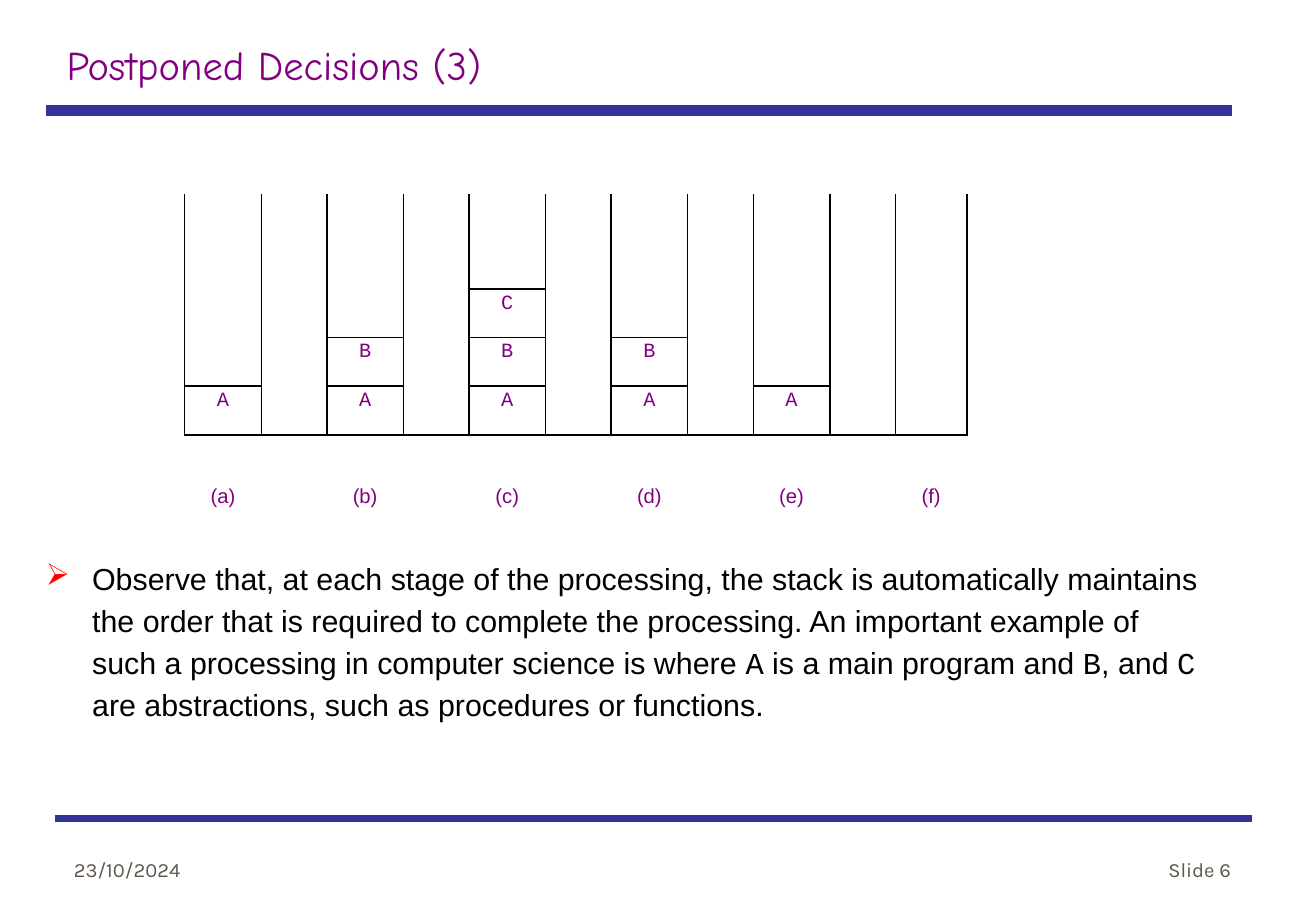
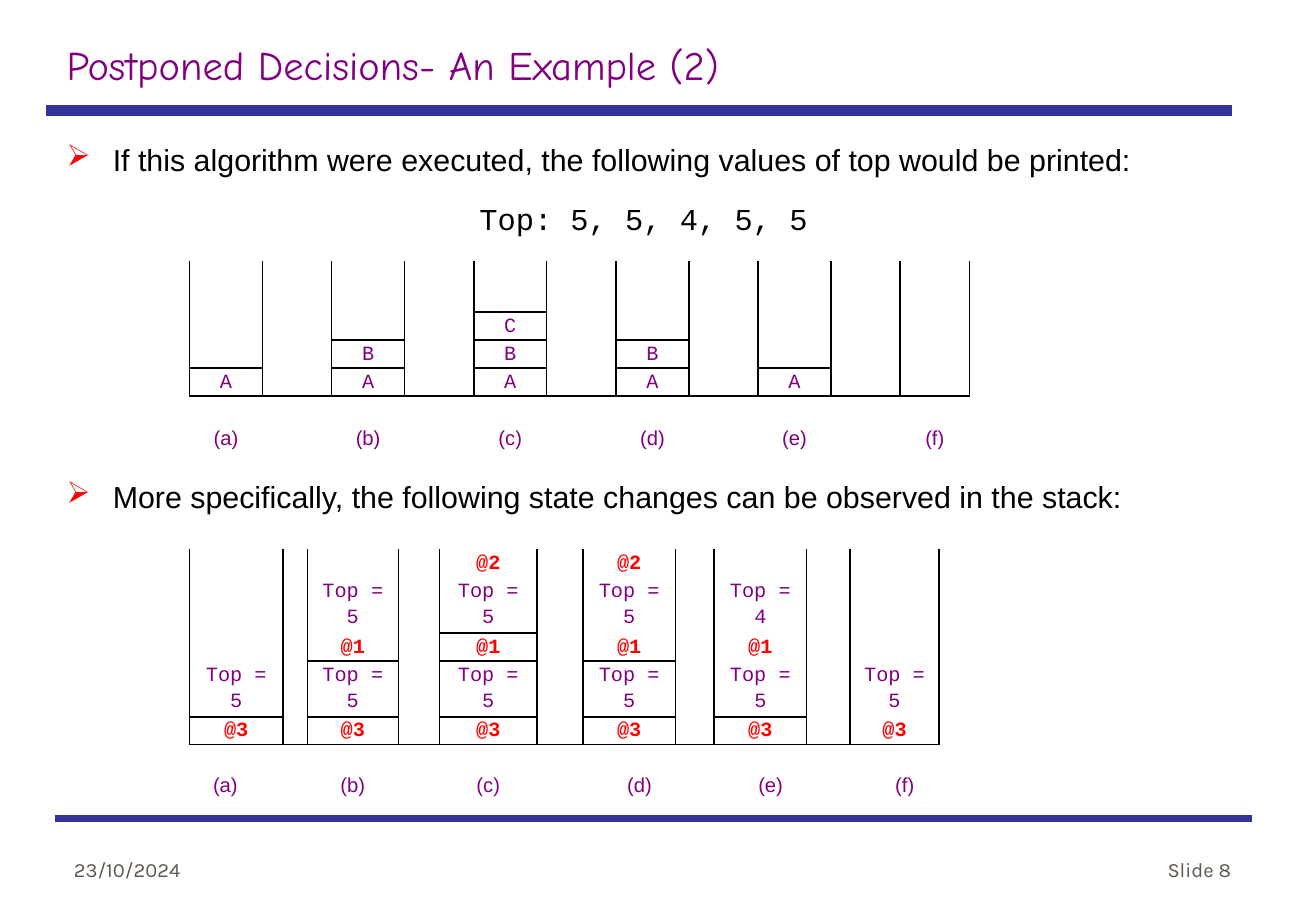
from lxml import etree
from pptx import Presentation
from pptx import util as u
from pptx.dml.color import RGBColor
from pptx.enum import shapes, text
from pptx.oxml import ns

PURPLE, BLUE, RED, BLACK, GREY = "800080", "333399", "FF0000", "000000", "5E574E"
BODY, CODE, TITLE, FOOTER = "Arial", "Courier New", "Comic Neue", "Karla"
LEFT, CENTER, RIGHT = text.PP_ALIGN.LEFT, text.PP_ALIGN.CENTER, text.PP_ALIGN.RIGHT

# Stack rows are 0 to BOTTOM; then an empty row and a row of labels
BOTTOM, GAP_ROW, LABEL_ROW = 4, 5, 6
# For each stack, the first row with a line above it
FIRST_LINED = [4, 3, 2, 3, 4, 5]


def rgb(value):
    return RGBColor.from_string(value)


def add(parent, tag, **attributes):
    return etree.SubElement(parent, ns.qn(tag), **attributes)


def add_run(paragraph, words, size, font, colour, bold=False):
    run = paragraph.add_run()
    run.text = words
    run.font.size = u.Pt(size)
    run.font.name = font
    run.font.bold = bold
    run.font.color.rgb = rgb(colour)


def add_bullet(paragraph):
    properties = paragraph._p.get_or_add_pPr()
    indent = u.Inches(0.38)
    properties.set("marL", str(indent))
    properties.set("indent", str(-indent))
    add(add(properties, "a:buClr"), "a:srgbClr", val=RED)
    add(properties, "a:buChar", char="➢")


def text_box(slide, left, top, width, height, anchor=text.MSO_ANCHOR.TOP):
    frame = slide.shapes.add_textbox(*map(u.Inches, (left, top, width, height))).text_frame
    frame.word_wrap = True
    frame.vertical_anchor = anchor
    return frame


def rule(slide, left, right, y, weight):
    line = slide.shapes.add_connector(
        shapes.MSO_CONNECTOR.STRAIGHT, *map(u.Inches, (left, y, right, y)))
    line.line.color.rgb = rgb(BLUE)
    line.line.width = u.Pt(weight)
    add(line._element.spPr, "a:effectLst")


def framed_slide(deck, title, number):
    """Blank slide with the shared title, bands and footers."""
    slide = deck.slides.add_slide(deck.slide_layouts[6])
    rule(slide, 0.38, 10.14, 0.91, 6)
    rule(slide, 0.45, 10.3, 6.74, 4.5)
    heading = text_box(slide, 0.45, 0.28, 9.21, 0.5)
    add_run(heading.paragraphs[0], title, 24, TITLE, PURPLE)
    for left, words, align in ((0.51, "23/10/2024", LEFT), (7.97, f"Slide {number}", RIGHT)):
        footer = text_box(slide, left, 6.81, 2.26, 0.5, text.MSO_ANCHOR.BOTTOM).paragraphs[0]
        footer.alignment = align
        add_run(footer, words, 12, FOOTER, GREY)
    return slide


def bullet_text(slide, left, top, height, parts):
    """Bulleted paragraph from (words, font) parts; returns its text frame."""
    frame = text_box(slide, left, top, 9.69, height)
    paragraph = frame.paragraphs[0]
    add_bullet(paragraph)
    paragraph.line_spacing = 1.15
    paragraph.space_after = u.Pt(10)
    for words, font in parts:
        add_run(paragraph, words, 18, font, BLACK)
    return frame


def set_borders(cell, edges):
    """Black lines on the edges named in a string of L, R, T, B."""
    properties = cell._tc.get_or_add_tcPr()
    for edge in "LRTB":
        line = add(properties, f"a:ln{edge}", w=str(u.Pt(1)))
        if edge in edges:
            add(add(line, "a:solidFill"), "a:srgbClr", val=BLACK)
        else:
            add(line, "a:noFill")


def fill_cell(cell, words, font):
    cell.margin_left = cell.margin_right = u.Inches(0.07)
    cell.margin_top = cell.margin_bottom = 0
    cell.fill.background()
    paragraph = cell.text_frame.paragraphs[0]
    paragraph.alignment = CENTER
    paragraph.line_spacing = 1.15
    paragraph.space_after = u.Pt(10)
    if words:
        mark = words.startswith("@")
        add_run(paragraph, words, 12, font, RED if mark else PURPLE, mark)
    else:
        add(paragraph._p, "a:endParaRPr", sz="1200")


def stack_table(slide, left, top, widths, heights, stacks, spans, tall_gaps,
                label_columns, label_merges=()):
    """Stacks (listed from the bottom up) in the column spans given."""
    table = slide.shapes.add_table(
        len(heights), len(widths),
        *map(u.Inches, (left, top, sum(widths), sum(heights)))).table
    table.first_row = table.horz_banding = False
    for column, width in zip(table.columns, widths):
        column.width = u.Inches(width)
    for row, height in zip(table.rows, heights):
        row.height = u.Inches(height)

    # Contents, and the first lined row of each column
    words, lined = {}, [GAP_ROW] * len(widths)
    for stack, (first, last), start in zip(stacks, spans, FIRST_LINED):
        lined[first:last + 1] = [start] * (last - first + 1)
        for level, item in enumerate(stack):
            words[BOTTOM - level, first] = item
    for letter, column in zip("abcdef", label_columns):
        words[LABEL_ROW, column] = f"({letter})"

    # Borders and text
    for r in range(len(heights)):
        for c, start in enumerate(lined):
            edges = "LR" if r <= BOTTOM else ""
            if start <= r <= GAP_ROW:
                edges += "T"
            if start <= r + 1 <= GAP_ROW:
                edges += "B"
            cell = table.cell(r, c)
            set_borders(cell, edges)
            fill_cell(cell, words.get((r, c)), BODY if r == LABEL_ROW else CODE)

    # Merged cells
    merges = [(0, c, BOTTOM, c) for c in tall_gaps]
    merges += [(r, a, r, b) for a, b in spans if a < b for r in range(GAP_ROW)]
    merges += [(GAP_ROW, 0, GAP_ROW, len(widths) - 1)]
    merges += [(LABEL_ROW, a, LABEL_ROW, b) for a, b in label_merges]
    for r1, c1, r2, c2 in merges:
        table.cell(r1, c1).merge(table.cell(r2, c2))


def letter_stacks(slide, left, top, stack, gap, last, heights):
    """Six stacks of A, B and C in evenly spaced columns."""
    columns = range(0, 11, 2)
    stack_table(slide, left, top, [stack, gap] * 5 + [last], heights,
                ["A", "AB", "ABC", "AB", "A", ""],
                [(c, c) for c in columns], (1, 7), columns)


def processing_slide(deck):
    slide = framed_slide(deck, "Postponed Decisions (3)", 6)
    bullet_text(slide, 0.28, 4.52, 1.43, [
        ("Observe that, at each stage of the processing, the stack is automatically "
         "maintains the order that is required to complete the processing. An important "
         "example of such a processing in computer science is where ", BODY),
        ("A", CODE), (" is a main program and ", BODY), ("B", CODE), (", and ", BODY),
        ("C", CODE), (" are abstractions, such as procedures or functions.", BODY)])
    letter_stacks(slide, 1.52, 1.6, 0.63, 0.54, 0.59,
                  [0.39, 0.39, 0.4, 0.4, 0.4, 0.39, 0.39])


def example_slide(deck):
    slide = framed_slide(deck, "Postponed Decisions- An Example (2)", 8)
    intro = bullet_text(slide, 0.45, 1.07, 0.95, [
        ("If this algorithm were executed, the following values of top would be printed:", BODY)])
    printed = intro.add_paragraph()
    printed.alignment = CENTER
    printed.line_spacing = 1.15
    add_run(printed, "Top: 5, 5, 4, 5, 5", 18, CODE, BLACK)
    bullet_text(slide, 0.45, 3.84, 0.5, [
        ("More specifically, the following state changes can be observed in the stack:", BODY)])

    line = 0.21
    letter_stacks(slide, 1.56, 2.15, 0.6, 0.57, 0.57, [line] * 5 + [0.23, line])

    # State of the stack: return marks and values of top
    base = ["@3", "Top = 5"]
    called = base + ["@1", "Top = 5"]
    nested = called + ["@2"]
    stack_table(
        slide, 1.56, 4.52,
        [0.59, 0.17, 0.2, 0.75, 0.34, 0.8, 0.38, 0.17, 0.59, 0.32, 0.17, 0.59, 0.36, 0.17, 0.56],
        [line, 2 * line, line, 2 * line, line, line, line],
        [base, called, nested, nested, base + ["@1", "Top = 4"], base],
        [(0, 1), (3, 3), (5, 5), (7, 8), (10, 11), (13, 14)], (2, 9),
        (0, 3, 5, 8, 11, 14), [(1, 2), (6, 7), (9, 10), (12, 13)])


def main():
    deck = Presentation()
    deck.slide_width, deck.slide_height = u.Inches(10.83), u.Inches(7.5)
    processing_slide(deck)
    example_slide(deck)
    deck.save("out.pptx")


if __name__ == "__main__":
    main()
